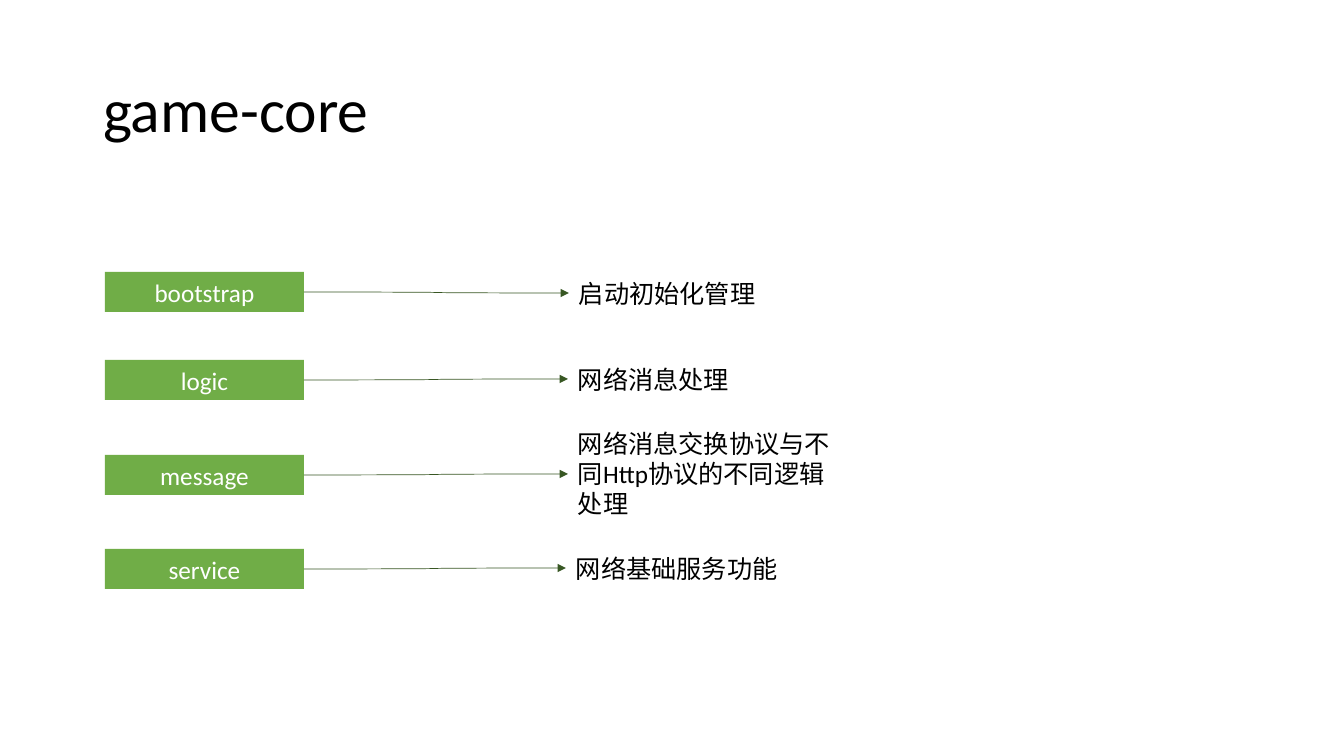
from lxml import etree
from pptx import Presentation
from pptx.dml.color import RGBColor
from pptx.enum.shapes import MSO_CONNECTOR, MSO_SHAPE
from pptx.enum.text import MSO_ANCHOR, MSO_AUTO_SIZE, PP_ALIGN
from pptx.oxml.ns import qn
from pptx.util import Emu, Pt

RECTANGLE = MSO_SHAPE.RECTANGLE
CURVE = MSO_CONNECTOR.CURVE
MIDDLE = MSO_ANCHOR.MIDDLE
LEFT, CENTER = PP_ALIGN.LEFT, PP_ALIGN.CENTER
GROW, FIXED = MSO_AUTO_SIZE.SHAPE_TO_FIT_TEXT, MSO_AUTO_SIZE.NONE

EMU_PER_PIXEL = 914400 / 100.8
TITLE_ONLY_LAYOUT = 5
RIGHT_SITE, LEFT_SITE = 3, 1
FONT = "Calibri"
GREEN, DARK_GREEN, BLACK, WHITE = "70AD47", "385723", "000000", "FFFFFF"
MODULE_WIDTH, DESCRIPTION_WIDTH, ROW_HEIGHT = 199, 281, 40

# module, row top, description, description offset (x, y) and height
MODULES = [
    ("bootstrap", 272, "启动初始化管理", 464, 1, 40),
    ("logic", 360, "网络消息处理", 463, -1, 40),
    ("message", 455, "网络消息交换协议与不同Http协议的不同逻辑处理", 463, -32, 102),
    ("service", 549, "网络基础服务功能", 461, -1, 40),
]


def px(pixels):
    """Turn whole pixels into EMU."""
    return Emu(round(pixels * EMU_PER_PIXEL))


def color(hex_string):
    """Turn a hex string into a colour."""
    return RGBColor.from_string(hex_string)


def write(holder, text, size, hex_string, align):
    """Put one formatted paragraph into a shape and return the paragraph."""
    holder.text_frame.text = text
    paragraph = holder.text_frame.paragraphs[0]
    paragraph.alignment = align
    for run in paragraph.runs:
        run.font.name = FONT
        run.font.size = Pt(size)
        run.font.color.rgb = color(hex_string)
    return paragraph


def add_title(slide, text, left, top, width, height):
    """Place the title placeholder in the given box."""
    title = slide.shapes.title
    title.left, title.top = px(left), px(top)
    title.width, title.height = px(width), px(height)
    title.text_frame.vertical_anchor = MIDDLE
    title.text_frame.auto_size = FIXED
    write(title, text, 44, BLACK, LEFT).line_spacing = 0.9


def add_module(slide, name, left, top):
    """Draw the green box of a module."""
    module = slide.shapes.add_shape(
        RECTANGLE, px(left), px(top), px(MODULE_WIDTH), px(ROW_HEIGHT))
    module.shadow.inherit = False
    module.fill.solid()
    module.fill.fore_color.rgb = color(GREEN)
    module.line.fill.background()
    module.text_frame.vertical_anchor = MIDDLE
    write(module, name, 18, WHITE, CENTER)
    return module


def add_description(slide, text, left, top, height):
    """Write what a module does."""
    description = slide.shapes.add_textbox(
        px(left), px(top), px(DESCRIPTION_WIDTH), px(height))
    description.text_frame.word_wrap = True
    description.text_frame.auto_size = GROW
    write(description, text, 18, BLACK, LEFT)
    return description


def add_arrow(slide, module, description):
    """Link a module to its description with a curved arrow."""
    arrow = slide.shapes.add_connector(CURVE, 0, 0, 0, 0)
    arrow.begin_connect(module, RIGHT_SITE)
    arrow.end_connect(description, LEFT_SITE)
    arrow.line.color.rgb = color(DARK_GREEN)
    arrow.line.width = Pt(0.5)
    etree.SubElement(arrow.line._get_or_add_ln(), qn("a:tailEnd"), type="triangle")
    etree.SubElement(arrow._element.spPr, qn("a:effectLst"))


def add_module_rows(slide, left, rows):
    """Draw every module with its arrow and description, from the given left edge."""
    for name, top, text, shift_x, shift_y, height in rows:
        module = add_module(slide, name, left, top)
        description = add_description(slide, text, left + shift_x, top + shift_y, height)
        add_arrow(slide, module, description)


def main():
    """Build and save the slide."""
    presentation = Presentation()
    presentation.slide_width, presentation.slide_height = px(1344), px(756)
    slide = presentation.slides.add_slide(presentation.slide_layouts[TITLE_ONLY_LAYOUT])
    add_title(slide, "game-core", 93, 40, 1159, 146)
    add_module_rows(slide, 105, MODULES)
    presentation.save("out.pptx")


main()
